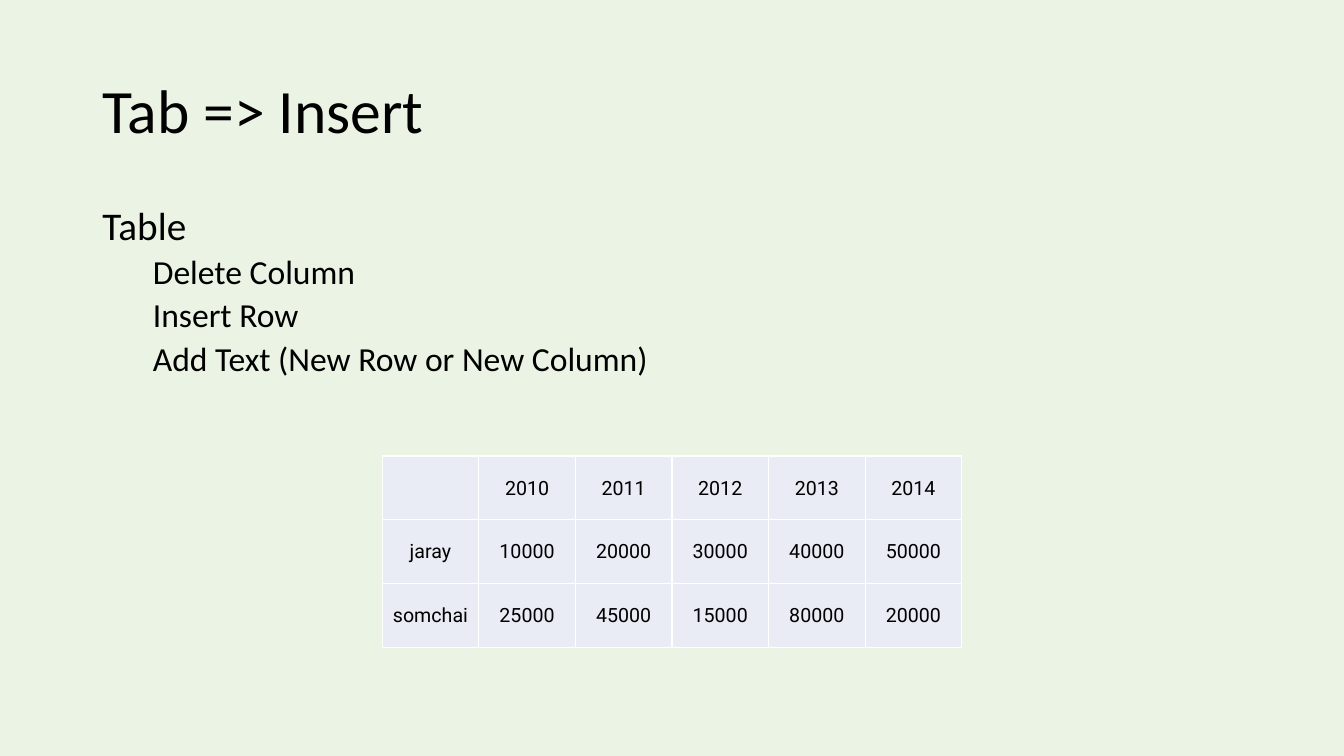
from dataclasses import dataclass

from lxml import etree
from pptx import Presentation
from pptx.dml.color import RGBColor
from pptx.enum import text as t
from pptx.oxml import ns
from pptx.util import Pt

BLACK = "000000"
WHITE = "FFFFFF"
PALE_GREEN = "EBF3E5"
PALE_BLUE = "E9EBF5"


@dataclass
class Item:
    text: str
    level: int
    size: float
    space_before: float


ITEMS = [
    Item("Table", 0, 28, 0),
    Item("Delete Column", 1, 24, 5),
    Item("Insert Row", 1, 24, 5),
    Item("Add Text (New Row or New Column)", 1, 24, 5),
]
INCOME = [
    ["", "2010", "2011", "2012", "2013", "2014"],
    ["jaray", "10000", "20000", "30000", "40000", "50000"],
    ["somchai", "25000", "45000", "15000", "80000", "20000"],
]


def set_color(color_format, value: str) -> None:
    color_format.rgb = RGBColor.from_string(value)


def set_fill(fill, value: str) -> None:
    fill.solid()
    set_color(fill.fore_color, value)


def write(paragraph, content: str, *, size: float, font: str = "Calibri",
          color: str = BLACK, align=t.PP_ALIGN.LEFT, line_spacing: float = 1.0,
          space_before: float = 0) -> None:
    paragraph.alignment = align
    paragraph.line_spacing = line_spacing
    paragraph.space_before = Pt(space_before)
    run = paragraph.add_run()
    run.text = content
    run.font.name = font
    run.font.size = Pt(size)
    set_color(run.font.color, color)


def place(shape, left: float, top: float, width: float, height: float) -> None:
    shape.left, shape.top = Pt(left), Pt(top)
    shape.width, shape.height = Pt(width), Pt(height)


def remove_bullet(paragraph, indent: float) -> None:
    properties = paragraph._p.get_or_add_pPr()
    properties.set("marL", str(Pt(indent)))
    properties.set("indent", "0")
    etree.SubElement(properties, ns.qn("a:buNone"))


def add_borders(cell, color: str, width: float) -> None:
    properties = cell._tc.get_or_add_tcPr()
    for side in ("lnL", "lnR", "lnT", "lnB"):
        line = etree.SubElement(properties, ns.qn(f"a:{side}"), w=str(Pt(width)))
        solid = etree.SubElement(line, ns.qn("a:solidFill"))
        etree.SubElement(solid, ns.qn("a:srgbClr"), val=color)


def add_heading(slide) -> None:
    heading = slide.shapes.title
    place(heading, 66, 28.75, 828, 104.4)
    heading.text_frame.vertical_anchor = t.MSO_ANCHOR.MIDDLE
    heading.text_frame.auto_size = t.MSO_AUTO_SIZE.NONE
    write(heading.text_frame.paragraphs[0], "Tab => Insert", size=44, line_spacing=0.9)


def add_items(slide) -> None:
    body = slide.placeholders[1]
    place(body, 66, 143.75, 828, 342.6)
    frame = body.text_frame
    frame.auto_size = t.MSO_AUTO_SIZE.NONE
    for index, item in enumerate(ITEMS):
        paragraph = frame.add_paragraph() if index else frame.paragraphs[0]
        paragraph.level = item.level
        remove_bullet(paragraph, 36 * item.level)
        write(paragraph, item.text, size=item.size, line_spacing=0.9,
              space_before=item.space_before)


def add_income_table(slide) -> None:
    rows, columns = len(INCOME), len(INCOME[0])
    table = slide.shapes.add_table(
        rows, columns, Pt(273), Pt(325.7), Pt(414), Pt(136.8)).table
    table.first_row = table.horz_banding = False
    for row, values in enumerate(INCOME):
        for column, value in enumerate(values):
            cell = table.cell(row, column)
            add_borders(cell, WHITE, 1)
            set_fill(cell.fill, PALE_BLUE)
            if not value:
                continue
            cell.vertical_anchor = t.MSO_ANCHOR.MIDDLE
            cell.margin_left = cell.margin_right = cell.margin_top = Pt(0.75)
            cell.margin_bottom = Pt(0)
            write(cell.text_frame.paragraphs[0], value, size=14, font="Roboto",
                  align=t.PP_ALIGN.CENTER)


def main() -> None:
    deck = Presentation()
    deck.slide_width, deck.slide_height = Pt(960), Pt(540)
    slide = deck.slides.add_slide(deck.slide_layouts[1])
    set_fill(slide.background.fill, PALE_GREEN)
    add_heading(slide)
    add_items(slide)
    add_income_table(slide)
    deck.save("out.pptx")


if __name__ == "__main__":
    main()
